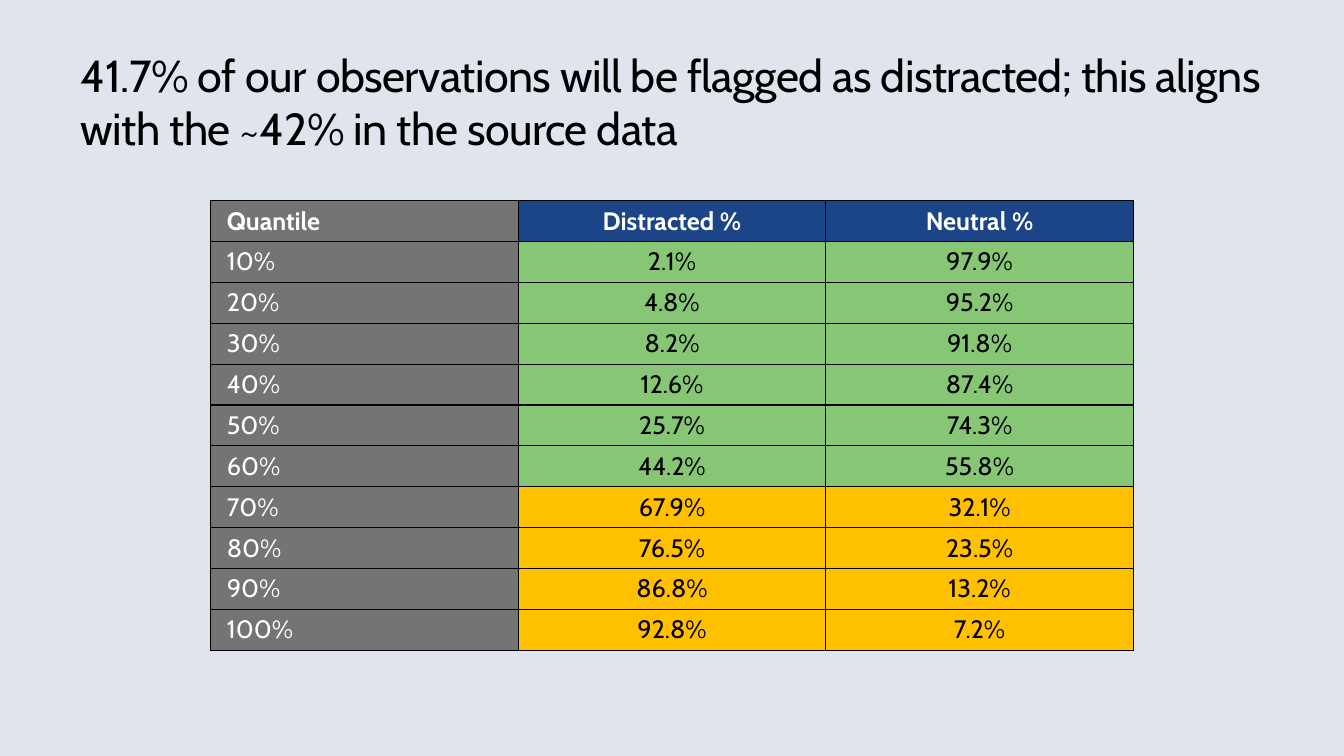
"""Build the slide on flagged observations per quantile."""
from lxml.etree import SubElement
from pptx import Presentation
from pptx.dml.color import RGBColor
from pptx.enum.text import MSO_ANCHOR as Anchor, MSO_AUTO_SIZE as AutoSize, PP_ALIGN as Align
from pptx.oxml.ns import qn
from pptx.util import Inches, Pt

BLACK, WHITE, GRAY, BLUE = "000000", "FFFFFF", "747474", "1C4588"
GREEN, AMBER, BACKGROUND = "87C675", "FFC000", "E0E4ED"
FLAG_THRESHOLD = 50


def paint(fill, color):
    fill.solid()
    fill.fore_color.rgb = RGBColor.from_string(color)


def add_run(paragraph, text, size, color, bold=False):
    run = paragraph.add_run()
    run.text = text
    run.font.name = "Cabin"
    run.font.size = Pt(size)
    run.font.bold = bold
    paint(run.font.fill, color)
    return run


deck = Presentation()
deck.slide_width, deck.slide_height = Inches(13.33), Inches(7.5)
slide = deck.slides.add_slide(deck.slide_layouts[5])
paint(slide.background.fill, BACKGROUND)

headline = slide.shapes.title
headline.left, headline.top = Inches(0.8), Inches(0.47)
headline.width, headline.height = Inches(12.2), Inches(1.09)
headline_text = headline.text_frame
headline_text.margin_left = headline_text.margin_right = 0
headline_text.margin_top = headline_text.margin_bottom = 0
headline_text.word_wrap = True
headline_text.auto_size = AutoSize.NONE
headline_text.vertical_anchor = Anchor.TOP
headline_text.paragraphs[0].alignment = Align.LEFT
headline_run = add_run(
    headline_text.paragraphs[0],
    "41.7% of our observations will be flagged as distracted; "
    "this aligns with the ~42% in the source data",
    32, BLACK)
headline_run.font._element.set("spc", "-40")

distracted_shares = [2.1, 4.8, 8.2, 12.6, 25.7, 44.2, 67.9, 76.5, 86.8, 92.8]
rows = [(["Quantile", "Distracted %", "Neutral %"], BLUE, WHITE, True)]
for decile, share in enumerate(distracted_shares, start=1):
    texts = [f"{decile * 10}%", f"{share:.1f}%", f"{100 - share:.1f}%"]
    rows.append((texts, AMBER if share > FLAG_THRESHOLD else GREEN, BLACK, False))

quantiles = slide.shapes.add_table(
    len(rows), 3, Inches(2.09), Inches(1.99), Inches(9.15), Inches(4.46)).table
quantiles.horz_banding = False

for row_index, (texts, value_fill, value_color, bold) in enumerate(rows):
    for column_index, text in enumerate(texts):
        is_label = column_index == 0
        cell = quantiles.cell(row_index, column_index)
        cell.margin_left = cell.margin_right = Inches(0.16)
        cell.margin_top = cell.margin_bottom = Inches(0.05)
        cell.vertical_anchor = Anchor.MIDDLE
        properties = cell._tc.get_or_add_tcPr()
        for side in ("a:lnL", "a:lnR", "a:lnT", "a:lnB"):
            border = SubElement(properties, qn(side), w=str(Pt(1)))
            SubElement(SubElement(border, qn("a:solidFill")), qn("a:srgbClr"), val=BLACK)
        paint(cell.fill, GRAY if is_label else value_fill)
        paragraph = cell.text_frame.paragraphs[0]
        paragraph.alignment = Align.LEFT if is_label else Align.CENTER
        add_run(paragraph, text, 18, WHITE if is_label else value_color, bold)

deck.save("out.pptx")
